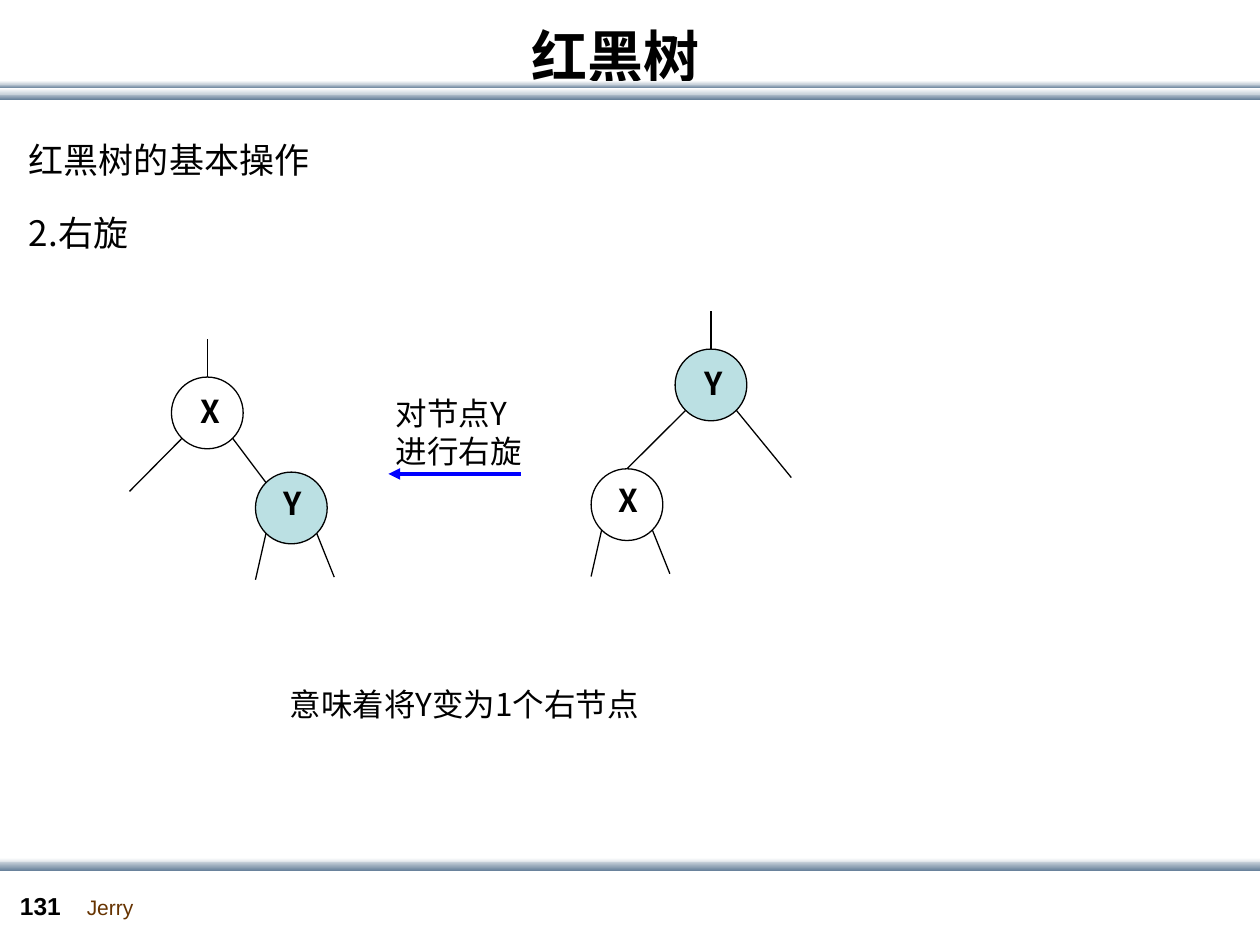
from lxml import etree
from pptx import Presentation
from pptx.dml.color import RGBColor
from pptx.enum import shapes, text
from pptx.oxml import ns
from pptx.util import Pt

BLACK = RGBColor(0x00, 0x00, 0x00)
WHITE = RGBColor(0xFF, 0xFF, 0xFF)
TEAL = RGBColor(0xBB, 0xE0, 0xE3)
BLUE = RGBColor(0x00, 0x00, 0xFF)
BROWN = RGBColor(0x66, 0x33, 0x00)
MIST = RGBColor(0xC8, 0xD1, 0xDA)
STEEL = RGBColor(0x6A, 0x83, 0x9C)
HAN = "Noto Sans CJK SC"
NODE_SIZE = 41


def style_text(para, size, color=BLACK, bold=False, face=HAN):
    font = para.font
    font.size, font.bold, font.name = Pt(size), bold, face
    font.color.rgb = color
    latin = para._p.pPr.find(ns.qn("a:defRPr")).find(ns.qn("a:latin"))
    east = etree.Element(ns.qn("a:ea"), typeface=face)
    latin.addnext(east)


def add_text(page, words, left, top, width, height, size, wrap=True, **style):
    box = page.shapes.add_textbox(Pt(left), Pt(top), Pt(width), Pt(height))
    frame = box.text_frame
    frame.word_wrap = wrap
    frame.text = words
    style_text(frame.paragraphs[0], size, **style)


def add_line(page, start, end, color=BLACK, width=0.75, arrow=False):
    line = page.shapes.add_connector(
        shapes.MSO_CONNECTOR.STRAIGHT, *(Pt(value) for value in (*start, *end)))
    line.line.color.rgb = color
    line.line.width = Pt(width)
    properties = line._element.spPr
    if arrow:
        outline = properties.find(ns.qn("a:ln"))
        etree.SubElement(outline, ns.qn("a:tailEnd"), type="triangle")
    etree.SubElement(properties, ns.qn("a:effectLst"))


def add_bar(page, top, height, upper, lower):
    bar = page.shapes.add_shape(
        shapes.MSO_SHAPE.RECTANGLE, 0, Pt(top), Pt(720), Pt(height))
    bar.shadow.inherit = False
    bar.line.fill.background()
    bar.fill.gradient()
    bar.fill.gradient_angle = 270
    for stop, color in zip(bar.fill.gradient_stops, (upper, lower)):
        stop.color.rgb = color


def add_header(page):
    add_bar(page, 53.3, 3.6, MIST, STEEL)
    add_bar(page, 48.2, 2.2, MIST, STEEL)
    add_bar(page, 50.4, 3.6, WHITE, MIST)
    add_bar(page, 46.1, 2.2, WHITE, MIST)
    title = page.shapes.title
    title.left, title.top, title.width, title.height = Pt(28), Pt(-13.7), Pt(648), Pt(90)
    frame = title.text_frame
    frame.vertical_anchor = text.MSO_ANCHOR.MIDDLE
    frame.text = "红黑树"
    para = frame.paragraphs[0]
    para.alignment = text.PP_ALIGN.CENTER
    style_text(para, 32, bold=True)


def add_footer(page):
    add_bar(page, 490.3, 3.6, WHITE, MIST)
    add_bar(page, 492.5, 5, MIST, STEEL)
    add_text(page, "Jerry", 42.5, 507.6, 41.8, 21.6, 12, wrap=False,
             color=BROWN, face="Arial")
    add_text(page, "131", 4.3, 505.4, 39.6, 23.8, 14, bold=True, face="Arial")


def add_node(page, label, fill, left, top, left_end, right_end, inset):
    circle = page.shapes.add_shape(
        shapes.MSO_SHAPE.OVAL, Pt(left), Pt(top), Pt(NODE_SIZE), Pt(NODE_SIZE))
    circle.shadow.inherit = False
    circle.fill.solid()
    circle.fill.fore_color.rgb = fill
    circle.line.color.rgb = BLACK
    circle.line.width = Pt(0.75)
    for across, end in ((6, left_end), (NODE_SIZE - 6, right_end)):
        add_line(page, (left + across, top + 35), (left + end[0], top + end[1]))
    add_text(page, label, left + inset[0], top + inset[1], 24, 29, 18, bold=True)


def add_tree(page, left, top, root, child, child_offset, root_ends):
    middle = left + NODE_SIZE / 2
    add_line(page, (middle, top - 21.6), (middle, top))
    add_node(page, *root, left, top, *root_ends, (9.5, 5))
    add_node(page, *child, left + child_offset[0], top + child_offset[1],
             (0, 61.5), (45, 60), (8.7, 3.2))


def add_rotation_note(page, left, top):
    add_line(page, (left + 78.5, top + 49), (left + 3, top + 49), BLUE, 2.25, arrow=True)
    add_text(page, "对节点Y进行右旋", left, top, 88.5, 51, 18)


def main():
    deck = Presentation()
    deck.slide_width, deck.slide_height = Pt(720), Pt(540)
    page = deck.slides.add_slide(deck.slide_layouts[5])
    add_header(page)
    add_footer(page)
    add_text(page, "红黑树的基本操作", 9.4, 75.6, 177, 31.7, 20)
    add_text(page, "2.右旋", 9.4, 117.4, 88.6, 31.7, 20)
    x_node, y_node = ("X", WHITE), ("Y", TEAL)
    add_tree(page, 98, 215.5, x_node, y_node, (48, 54.3), ((-24, 65.3), (54, 60.3)))
    add_rotation_note(page, 219, 221.8)
    add_tree(page, 385.8, 199.5, y_node, x_node, (-48, 68.4), ((-27.5, 68.4), (66.4, 73.4)))
    add_text(page, "意味着将Y变为1个右节点", 158.4, 388, 219.6, 29, 18)
    deck.save("out.pptx")


if __name__ == "__main__":
    main()
